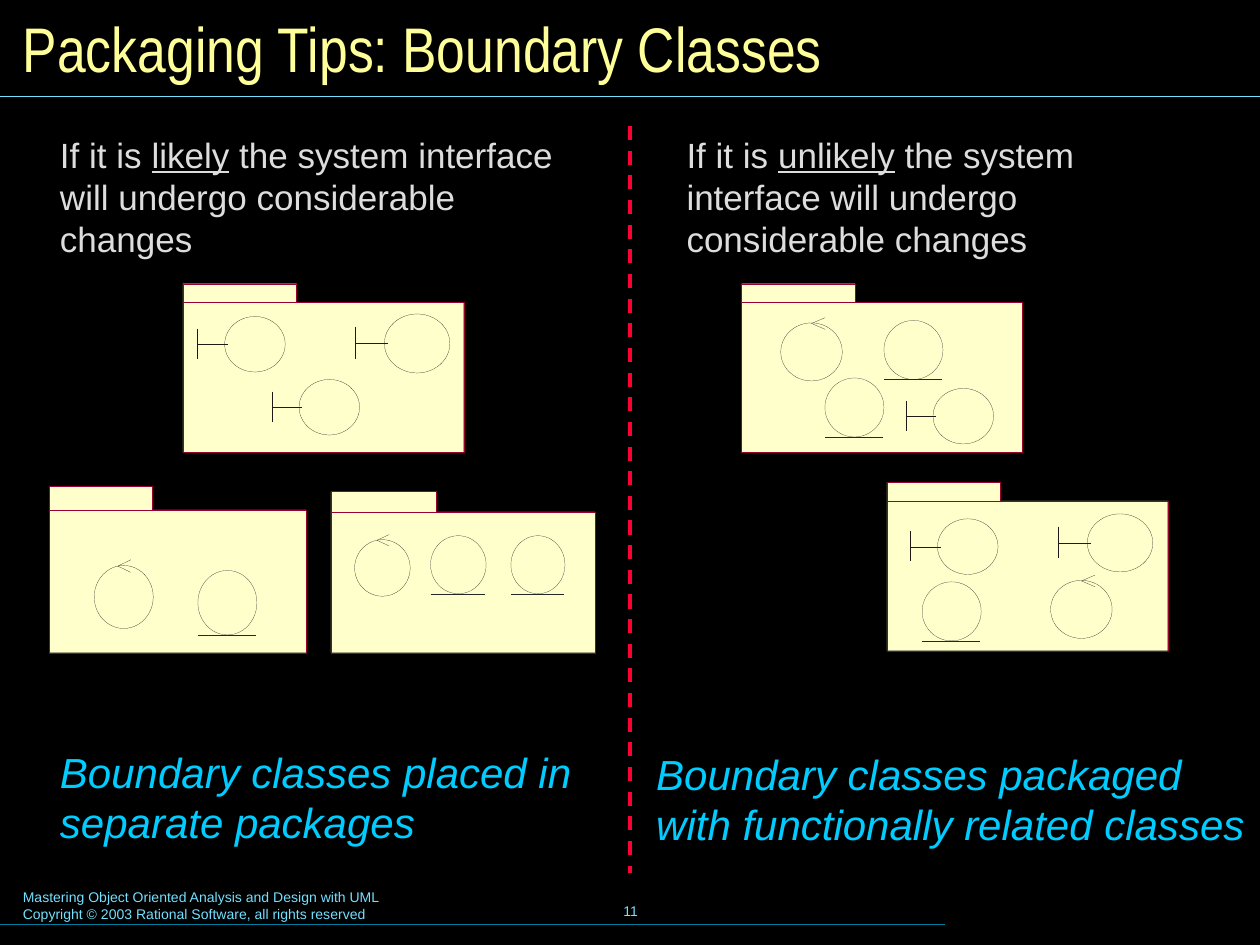
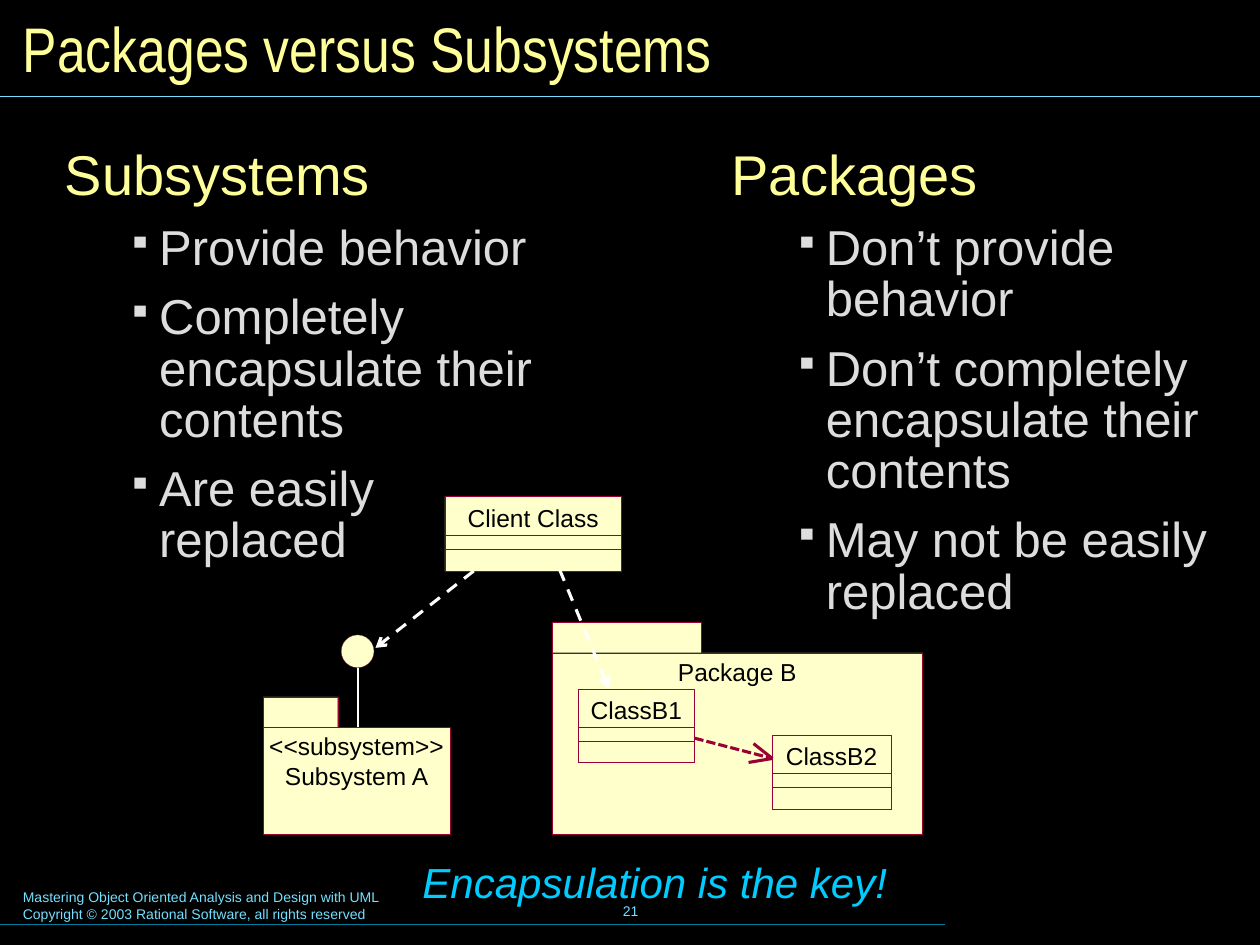
from dataclasses import dataclass

import lxml.etree
import pptx
import pptx.dml.color
import pptx.enum.dml
import pptx.enum.shapes
import pptx.enum.text
import pptx.oxml.ns
import pptx.util

Cm = pptx.util.Cm
Pt = pptx.util.Pt
SHAPES = pptx.enum.shapes.MSO_SHAPE
ALIGN = pptx.enum.text.PP_ALIGN
ANCHOR = pptx.enum.text.MSO_ANCHOR
DASH = pptx.enum.dml.MSO_LINE


@dataclass(frozen=True)
class Theme:
    ground: str = "000000"
    heading: str = "FFFF99"
    body: str = "DDDDDD"
    accent: str = "00CCFF"
    footer: str = "73E1FF"
    footer_rule: str = "007E9F"
    divider: str = "FF0033"
    uml_fill: str = "FFFFCC"
    uml_line: str = "990033"
    ink: str = "1F1A17"
    entity_ink: str = "242728"
    label: str = "000000"
    arrow: str = "FFFFFF"
    font: str = "Arial"
    title_font: str = "Arial Narrow"
    title_size: float = 36
    column_size: float = 32
    bullet_size: float = 28
    conclusion_size: float = 24
    prompt_size: float = 20
    label_size: float = 14
    footer_size: float = 8
    hairline: float = 0.1


THEME = Theme()


@dataclass(frozen=True)
class Box:
    left: float
    top: float
    width: float
    height: float

    def inner(self, left, top, width, height):
        return Box(self.left + left, self.top + top, width, height)

    def point(self, across, down):
        return self.left + across * self.width, self.top + down * self.height

    def offset(self, x, y):
        return self.left + x, self.top + y

    def lengths(self):
        return [Cm(value) for value in (self.left, self.top, self.width, self.height)]


def rgb(value):
    return pptx.dml.color.RGBColor.from_string(value)


def add_span(para, text, size, color, font=THEME.font, italic=False, underline=False):
    span = para.add_run()
    span.text = text
    span.font.name = font
    span.font.size = Pt(size)
    span.font.color.rgb = rgb(color)
    span.font.italic = italic
    span.font.underline = underline


def add_para(frame, first):
    return frame.paragraphs[0] if first else frame.add_paragraph()


def set_margins(frame, side, vertical):
    frame.margin_left = frame.margin_right = Cm(side)
    frame.margin_top = frame.margin_bottom = Cm(vertical)


def add_frame(page, box, side=0.3, vertical=0.15, wrap=True, anchor=ANCHOR.TOP):
    frame = page.shapes.add_textbox(*box.lengths()).text_frame
    set_margins(frame, side, vertical)
    frame.word_wrap = wrap
    frame.vertical_anchor = anchor
    if not wrap:
        frame.auto_size = pptx.enum.text.MSO_AUTO_SIZE.SHAPE_TO_FIT_TEXT
    return frame


def add_lines(frame, lines, size, color, align=ALIGN.LEFT, **style):
    for index, text in enumerate(lines):
        para = add_para(frame, index == 0)
        para.alignment = align
        add_span(para, text, size, color, **style)


def add_line(page, start, end, color, width=THEME.hairline, dash=None, arrow=False):
    ends = [Cm(value) for value in (*start, *end)]
    connector = page.shapes.add_connector(pptx.enum.shapes.MSO_CONNECTOR.STRAIGHT, *ends)
    connector.line.color.rgb = rgb(color)
    connector.line.width = Pt(width)
    if dash:
        connector.line.dash_style = dash
    if arrow:
        tail = lxml.etree.SubElement(connector.line._get_or_add_ln(), pptx.oxml.ns.qn("a:tailEnd"))
        tail.set("type", "arrow")
    lxml.etree.SubElement(connector._element.spPr, pptx.oxml.ns.qn("a:effectLst"))


def add_outline(page, box, kind=SHAPES.RECTANGLE, line=THEME.uml_line, filled=True):
    shape = page.shapes.add_shape(kind, *box.lengths())
    shape.shadow.inherit = False
    if filled:
        shape.fill.solid()
        shape.fill.fore_color.rgb = rgb(THEME.uml_fill)
    else:
        shape.fill.background()
    shape.line.color.rgb = rgb(line)
    shape.line.width = Pt(THEME.hairline)
    return shape


def add_label(shape, lines, top):
    frame = shape.text_frame
    set_margins(frame, 0, top)
    frame.word_wrap = True
    frame.vertical_anchor = ANCHOR.TOP
    add_lines(frame, lines, THEME.label_size, THEME.label, ALIGN.CENTER)


def draw_package(page, box, tab_width, tab_height, lines=()):
    body = box.inner(0, tab_height, box.width, box.height - tab_height)
    add_label(add_outline(page, body), lines, 0.08)
    add_outline(page, box.inner(0, 0, tab_width, tab_height))


def draw_class(page, box, name):
    add_label(add_outline(page, box), [name], 0.13)
    for depth in (0.77, 1.06):
        add_outline(page, box.inner(0, depth, box.width, box.height - depth), filled=False)


def draw_boundary(page, box):
    add_outline(page, box, SHAPES.OVAL, THEME.ink)
    add_line(page, box.point(-0.45, 0.22), box.point(-0.45, 0.76), THEME.ink)
    add_line(page, box.point(-0.45, 0.5), box.point(0.05, 0.5), THEME.ink)


def draw_entity(page, box):
    add_outline(page, box, SHAPES.OVAL, THEME.entity_ink)
    add_line(page, box.point(0, 1), box.point(0.98, 1), THEME.entity_ink)


def draw_control(page, box, tip=0.5):
    add_outline(page, box, SHAPES.OVAL, THEME.ink)
    for rise in (-0.09, 0.11):
        add_line(page, box.point(tip + 0.22, rise), box.point(tip, 0.01), THEME.ink)


def draw_left_control(page, box):
    draw_control(page, box, 0.4)


def draw_filled_package(page, box, tab_width, tab_height, icons):
    draw_package(page, box, tab_width, tab_height)
    for draw_icon, *place in icons:
        draw_icon(page, box.inner(*place))


def draw_prompt(page, box, likelihood):
    para = add_frame(page, box).paragraphs[0]
    add_span(para, "If it is ", THEME.prompt_size, THEME.body)
    add_span(para, likelihood, THEME.prompt_size, THEME.body, underline=True)
    add_span(para, " the system interface will undergo considerable changes",
             THEME.prompt_size, THEME.body)


def draw_conclusion(page, box, lines, align=ALIGN.LEFT):
    frame = add_frame(page, box, wrap=False)
    add_lines(frame, lines, THEME.conclusion_size, THEME.accent, align, italic=True)


def add_bullet(para):
    properties = para._p.get_or_add_pPr()
    properties.set("marL", str(Cm(1.9)))
    properties.set("indent", str(-Cm(0.64)))
    color = lxml.etree.SubElement(properties, pptx.oxml.ns.qn("a:buClr"))
    lxml.etree.SubElement(color, pptx.oxml.ns.qn("a:srgbClr")).set("val", THEME.body)
    lxml.etree.SubElement(properties, pptx.oxml.ns.qn("a:buSzPct")).set("val", "70000")
    lxml.etree.SubElement(properties, pptx.oxml.ns.qn("a:buChar")).set("char", "▪")


def draw_column(page, box, heading, points):
    frame = add_frame(page, box)
    title = frame.paragraphs[0]
    title.line_spacing = 0.8
    add_span(title, heading, THEME.column_size, THEME.heading)
    for point in points:
        para = frame.add_paragraph()
        para.level = 1
        add_bullet(para)
        para.line_spacing = 0.87
        para.space_before = Pt(10.5)
        add_span(para, point, THEME.bullet_size, THEME.body)


def draw_dependencies(page, box):
    add_line(page, box.offset(1.9, 4.82), box.offset(1.9, 3.45), THEME.arrow, 1.25)
    add_outline(page, box.inner(1.57, 2.79, 0.66, 0.66), SHAPES.OVAL)
    draw_package(page, box.inner(0, 4.04, 3.76, 2.77), 1.5, 0.61,
                 ["<<subsystem>>", "Subsystem A"])
    draw_package(page, box.inner(5.82, 2.54, 7.47, 4.27), 3, 0.61, ["Package B"])
    draw_class(page, box.inner(6.35, 3.88, 2.34, 1.47), "ClassB1")
    draw_class(page, box.inner(10.26, 4.8, 2.39, 1.5), "ClassB2")
    draw_class(page, box.inner(3.66, 0, 3.56, 1.5), "Client Class")

    tip = box.offset(10.26, 5.28)
    add_line(page, box.offset(8.69, 4.87), tip, THEME.uml_line, 1.75, DASH.SQUARE_DOT)
    for barb in ((9.88, 4.98), (9.78, 5.36)):
        add_line(page, tip, box.offset(*barb), THEME.uml_line, 1.75)
    for start, end in (((4.24, 1.5), (2.26, 3.05)), ((5.97, 1.47), (6.96, 3.86))):
        add_line(page, box.offset(*start), box.offset(*end), THEME.arrow, 1.75, DASH.DASH, True)


def add_page(deck, title, number):
    page = deck.slides.add_slide(deck.slide_layouts[6])
    page.background.fill.solid()
    page.background.fill.fore_color.rgb = rgb(THEME.ground)
    footer = add_frame(page, Box(0.21, 17.78, 12.95, 0.94), 0.25, 0.13)
    add_lines(footer, ["Mastering Object Oriented Analysis and Design with UML",
                       "Copyright © 2003 Rational Software, all rights reserved"],
              THEME.footer_size, THEME.footer)
    counter = add_frame(page, Box(8.69, 17.73, 8.05, 1.27), 0.25, 0.13, anchor=ANCHOR.MIDDLE)
    add_lines(counter, [number], THEME.footer_size, THEME.footer, ALIGN.CENTER)
    add_line(page, (0, 18.63), (19.05, 18.63), THEME.footer_rule, 0.75)
    add_line(page, (0, 1.94), (25.4, 1.94), THEME.footer, 0.75)
    heading = add_frame(page, Box(0.21, 0.21, 25, 1.47), 0.25, 0.13, anchor=ANCHOR.MIDDLE)
    add_lines(heading, [title], THEME.title_size, THEME.heading, font=THEME.title_font)
    return page


def build_tips_page(deck):
    page = add_page(deck, "Packaging Tips: Boundary Classes", "11")
    draw_filled_package(page, Box(3.69, 5.72, 5.66, 3.4), 2.29, 0.38, [
        (draw_boundary, 4.06, 0.61, 1.32, 1.19),
        (draw_boundary, 2.34, 1.93, 1.22, 1.12),
        (draw_boundary, 0.84, 0.66, 1.22, 1.12)])
    draw_filled_package(page, Box(0.99, 9.8, 5.18, 3.36), 2.08, 0.48, [
        (draw_left_control, 0.91, 1.6, 1.19, 1.27),
        (draw_entity, 3, 1.7, 1.19, 1.3)])
    draw_filled_package(page, Box(6.67, 9.91, 5.33, 3.25), 2.13, 0.41, [
        (draw_left_control, 0.48, 0.97, 1.12, 1.14),
        (draw_entity, 3.63, 0.89, 1.09, 1.17),
        (draw_entity, 2.01, 0.89, 1.12, 1.17)])
    draw_filled_package(page, Box(14.95, 5.72, 5.66, 3.4), 2.29, 0.38, [
        (draw_control, 0.79, 0.79, 1.24, 1.17),
        (draw_entity, 2.87, 0.74, 1.19, 1.19),
        (draw_boundary, 3.86, 2.11, 1.22, 1.12),
        (draw_entity, 1.68, 1.9, 1.19, 1.19)])
    draw_filled_package(page, Box(17.88, 9.72, 5.66, 3.4), 2.29, 0.38, [
        (draw_boundary, 4.04, 0.64, 1.32, 1.17),
        (draw_boundary, 1.02, 0.74, 1.22, 1.12),
        (draw_entity, 0.71, 2.01, 1.19, 1.19),
        (draw_control, 3.3, 1.98, 1.24, 1.17)])
    for left, likelihood in ((0.91, "likely"), (13.54, "unlikely")):
        draw_prompt(page, Box(left, 2.54, 11, 2.84), likelihood)
    draw_conclusion(page, Box(0.91, 14.9, 11.15, 2.34),
                    ["Boundary classes placed in", "separate packages"])
    draw_conclusion(page, Box(12.93, 14.93, 12.47, 2.34),
                    ["Boundary classes packaged", "with functionally related classes"])
    add_line(page, (12.7, 2.54), (12.7, 17.6), THEME.divider, 2, DASH.DASH)


def build_versus_page(deck):
    page = add_page(deck, "Packages versus Subsystems", "21")
    draw_conclusion(page, Box(7.7, 17.12, 11, 1.27),
                    ["Encapsulation is the key!"], ALIGN.CENTER)
    draw_column(page, Box(1.01, 2.92, 10.69, 9.98), "Subsystems", [
        "Provide behavior", "Completely encapsulate their contents", "Are easily replaced"])
    draw_column(page, Box(14.45, 2.92, 10.69, 9.98), "Packages", [
        "Don’t provide behavior", "Don’t completely encapsulate their contents",
        "May not be easily replaced"])
    draw_dependencies(page, Box(5.31, 10.01, 13.29, 6.81))


def main():
    deck = pptx.Presentation()
    deck.slide_width = Cm(25.4)
    deck.slide_height = Cm(19.05)
    build_tips_page(deck)
    build_versus_page(deck)
    deck.save("out.pptx")


if __name__ == "__main__":
    main()
